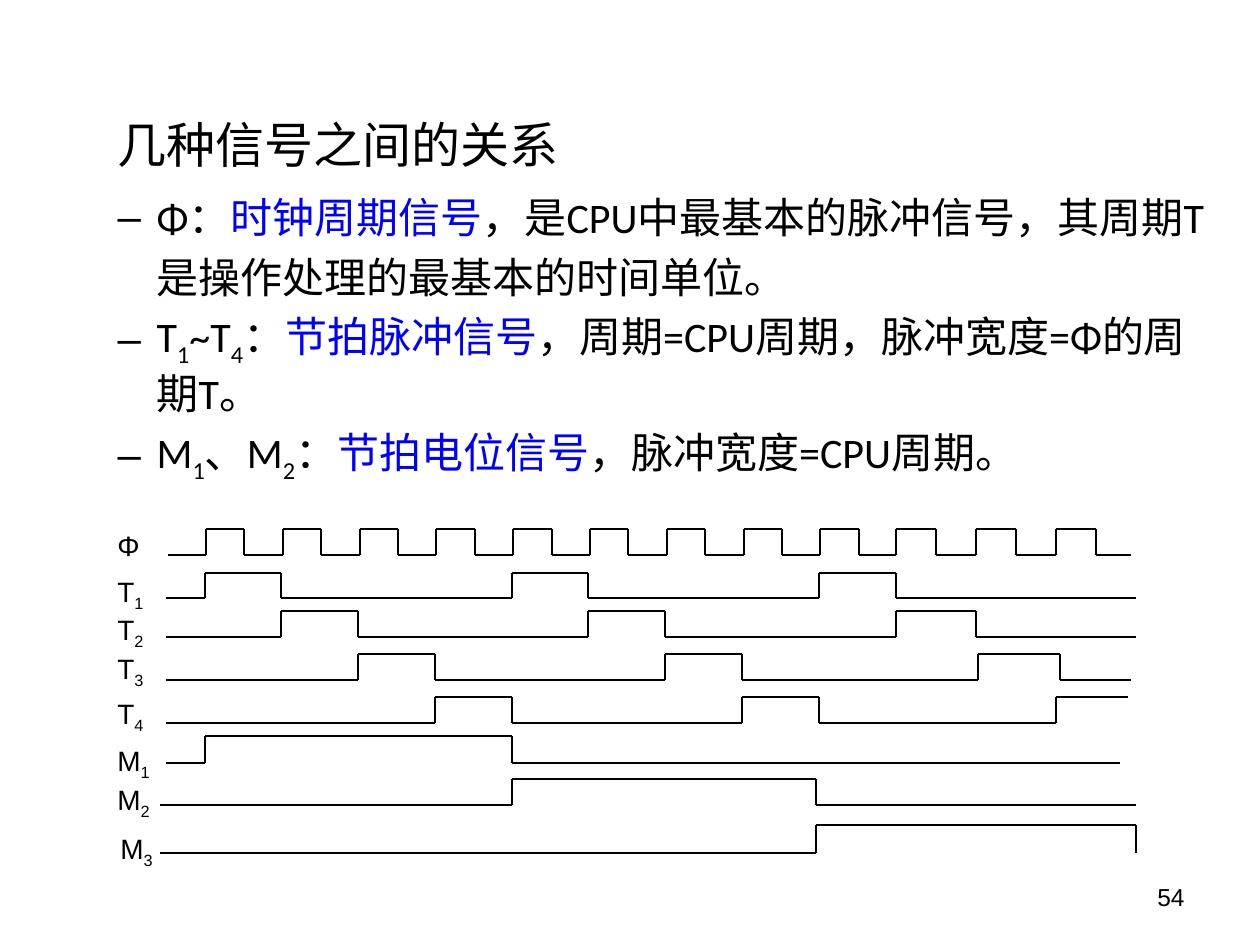
from itertools import pairwise

from lxml import etree
from pptx import Presentation
from pptx import util as u
from pptx.dml.color import RGBColor
from pptx.enum import shapes, text
from pptx.oxml import ns

EMU_PER_PX = 914400 / 126
BLACK, BLUE = "000000", "0000FF"

PULSE_EDGES = [206 + round(38.4 * i) for i in range(18)] + list(range(896, 1097, 40))

# name, label left, label top, low level, high level, x of start, edges and end
SIGNALS = [
    ("Φ", 105, 522, 555, 529, [168, *PULSE_EDGES, 1131]),
    ("T1", 105, 568, 598, 573, [166, 205, 281, 512, 588, 819, 896, 1136]),
    ("T2", 105, 606, 637, 611, [166, 281, 358, 588, 665, 896, 976, 1136]),
    ("T3", 105, 645, 680, 654, [166, 358, 435, 665, 742, 978, 1060, 1131]),
    ("T4", 105, 690, 723, 697, [166, 435, 512, 742, 819, 1056, 1128]),
    ("M1", 105, 737, 763, 736, [166, 205, 512, 1120]),
    ("M2", 105, 776, 805, 779, [160, 512, 816, 1136]),
    ("M3", 108, 825, 853, 825, [160, 816, 1136, 1136]),
]


def px(count):
    return u.Emu(round(count * EMU_PER_PX))


def colour(code):
    return RGBColor.from_string(code)


def add_span(para, words, size, font, fill=BLACK, sub=False):
    span = para.add_run()
    span.text = words
    span.font.size = u.Pt(size)
    span.font.name = font
    span.font.color.rgb = colour(fill)
    if sub:
        span._r.get_or_add_rPr().set("baseline", "-25000")


def format_item(para, size, spacing, bullet=None):
    """Set a second-level hanging paragraph, with a bullet if one is given."""
    para.level = 1
    para.line_spacing = spacing
    para.space_before = u.Pt(size * 0.2)
    props = para._p.get_or_add_pPr()
    props.set("marL", str(px(102)))
    props.set("indent", str(-px(39)))
    if bullet:
        etree.SubElement(props, ns.qn("a:buChar")).set("char", bullet)
    else:
        etree.SubElement(props, ns.qn("a:buNone"))


def add_body(page):
    box = page.placeholders[1]
    box.left, box.top, box.width, box.height = px(42), px(96), px(1177), px(735)
    frame = box.text_frame
    frame.auto_size = text.MSO_AUTO_SIZE.NONE
    heading = frame.paragraphs[0]
    format_item(heading, 28, 1.2)
    add_span(heading, "几种信号之间的关系", 28, "Calibri")

    blue, sub = {"fill": BLUE}, {"sub": True}
    items = [
        (1.2, [("Φ：", {}), ("时钟周期信号", blue),
               ("，是CPU中最基本的脉冲信号，其周期T是操作处理的最基本的时间单位。", {})]),
        (1.0, [("T", {}), ("1", sub), ("~T", {}), ("4", sub), ("：", {}),
               ("节拍脉冲信号", blue), ("，周期=CPU周期，脉冲宽度=Φ的周期T。", {})]),
        (1.0, [("M", {}), ("1", sub), ("、M", {}), ("2", sub), ("：", {}),
               ("节拍电位信号", blue), ("，脉冲宽度=CPU周期。", {})]),
    ]
    for spacing, spans in items:
        para = frame.add_paragraph()
        format_item(para, 24, spacing, bullet="–")
        for words, style in spans:
            add_span(para, words, 24, "Calibri", **style)


def add_text_box(page, left, top, width, height):
    """Add a wrapping text box and return its first paragraph."""
    box = page.shapes.add_textbox(px(left), px(top), px(width), px(height))
    box.text_frame.word_wrap = True
    return box.text_frame.paragraphs[0]


def add_label(page, name, left, top):
    para = add_text_box(page, left, top, 62, 47)
    add_span(para, name[0], 16, "Arial")
    if name[1:]:
        add_span(para, name[1:], 16, "Arial", sub=True)


def add_line(page, start, end):
    line = page.shapes.add_connector(
        shapes.MSO_CONNECTOR.STRAIGHT, *map(px, start + end))
    line.line.color.rgb = colour(BLACK)
    line.line.width = u.Pt(0.75)
    etree.SubElement(line._element.spPr, ns.qn("a:effectLst"))


def add_wave(page, low, high, stops):
    """Draw a square wave that starts low and changes level at each inner stop."""
    points = []
    for index, (left, right) in enumerate(pairwise(stops)):
        level = high if index % 2 else low
        points += [(left, level), (right, level)]
    for start, end in pairwise(points):
        if start != end:
            add_line(page, start, end)


def main():
    deck = Presentation()
    deck.slide_width, deck.slide_height = px(1260), px(945)
    page = deck.slides.add_slide(deck.slide_layouts[1])
    title = page.shapes.title._element
    title.getparent().remove(title)

    add_body(page)
    number = add_text_box(page, 903, 876, 294, 50)
    number.alignment = text.PP_ALIGN.RIGHT
    add_span(number, "54", 14, "Arial")
    for name, left, top, low, high, stops in SIGNALS:
        add_wave(page, low, high, stops)
        add_label(page, name, left, top)

    deck.save("out.pptx")


if __name__ == "__main__":
    main()
